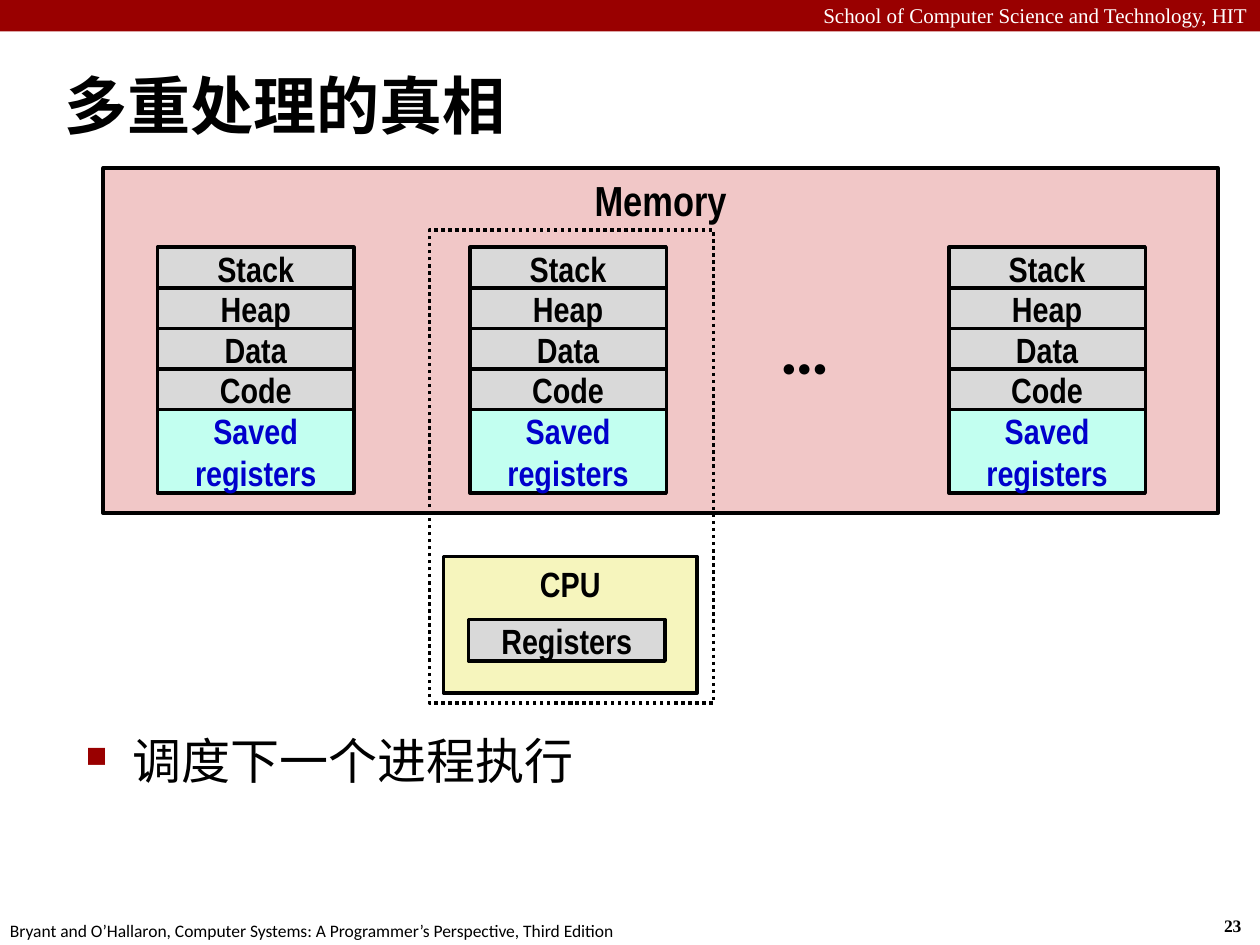
from pptx import Presentation
from pptx.dml.color import RGBColor
from pptx.enum.dml import MSO_LINE
from pptx.enum.shapes import MSO_SHAPE
from pptx.enum.text import MSO_ANCHOR as ANCHOR, PP_ALIGN as ALIGN
from pptx.oxml import parse_xml
from pptx.oxml.ns import nsdecls
from pptx.util import Pt

BLACK = RGBColor(0x00, 0x00, 0x00)
WHITE = RGBColor(0xFF, 0xFF, 0xFF)
RED = RGBColor(0x99, 0x00, 0x00)
PINK = RGBColor(0xF1, 0xC7, 0xC7)
GRAY = RGBColor(0xD9, 0xD9, 0xD9)
YELLOW = RGBColor(0xF6, 0xF5, 0xBD)
MINT = RGBColor(0xC2, 0xFF, 0xF0)
BLUE = RGBColor(0x00, 0x00, 0xCC)

SERIF, SANS, NARROW = "Times New Roman", "Calibri", "Arial Narrow"

PROCESS_LEFTS = (90, 268.5, 542.2)
SEGMENTS = ("Stack", "Heap", "Data", "Code")
SEGMENT_W, SEGMENT_H = 112.3, 23.8
SEGMENTS_TOP, SEGMENT_PITCH = 141.3, 23.2


class SlideBuilder:
    line_width = Pt(2)

    def __init__(self, slide):
        self.s = slide

    def set_text(self, sp, text, size, font, color, bold, align, anchor):
        tf = sp.text_frame
        tf.text = text
        tf.vertical_anchor = anchor
        p = tf.paragraphs[0]
        p.alignment = align
        f = p.runs[0].font
        f.size, f.name, f.bold = Pt(size), font, bold
        f.color.rgb = color
        return p

    def box(self, x, y, w, h, fill=None, text="", size=20, color=BLACK,
            anchor=ANCHOR.MIDDLE, line=BLACK):
        sp = self.s.shapes.add_shape(MSO_SHAPE.RECTANGLE, Pt(x), Pt(y), Pt(w), Pt(h))
        sp.shadow.inherit = False
        if fill is None:
            sp.fill.background()
        else:
            sp.fill.solid()
            sp.fill.fore_color.rgb = fill
        if line is None:
            sp.line.fill.background()
        else:
            sp.line.color.rgb = line
            sp.line.width = self.line_width
        if text:
            sp.text_frame.word_wrap = True
            self.set_text(sp, text, size, NARROW, color, True, ALIGN.CENTER, anchor)
        return sp

    def label(self, x, y, w, h, text, size, font, color=BLACK, bold=False,
              align=ALIGN.LEFT, anchor=ANCHOR.TOP, wrap=True):
        sp = self.s.shapes.add_textbox(Pt(x), Pt(y), Pt(w), Pt(h))
        sp.text_frame.word_wrap = wrap
        return self.set_text(sp, text, size, font, color, bold, align, anchor)

    def bullet(self, x, y, w, h, text, size, font, indent=27):
        p = self.label(x, y, w, h, text, size, font)
        pPr = p._p.get_or_add_pPr()
        pPr.set("marL", str(Pt(indent)))
        pPr.set("indent", str(-Pt(indent)))
        ns = nsdecls("a")
        for xml in (f'<a:buClr {ns}><a:srgbClr val="{RED}"/></a:buClr>',
                    f'<a:buSzPct {ns} val="60000"/>',
                    f'<a:buChar {ns} char="■"/>'):
            pPr.append(parse_xml(xml))

    def process(self, x):
        """Stack the memory segments of one process above its saved registers."""
        for i, name in enumerate(SEGMENTS):
            self.box(x, SEGMENTS_TOP + i * SEGMENT_PITCH, SEGMENT_W, SEGMENT_H, GRAY, name)
        self.box(x, SEGMENTS_TOP + len(SEGMENTS) * SEGMENT_PITCH, SEGMENT_W,
                 2 * SEGMENT_H, MINT, "Saved registers", color=BLUE)


def main():
    prs = Presentation()
    prs.slide_width, prs.slide_height = Pt(720), Pt(540)
    b = SlideBuilder(prs.slides.add_slide(prs.slide_layouts[6]))

    b.box(0, 0, 720, 18, RED, line=None)
    b.label(0, -2, 720, 21.6, "School of Computer Science and Technology, HIT",
            12, SERIF, WHITE, align=ALIGN.RIGHT)
    b.label(692.4, 519.4, 26.6, 19.4, "23", 10, SERIF, bold=True, wrap=False)
    b.label(-1.4, 522, 365.8, 19.4,
            "Bryant and O’Hallaron, Computer Systems: A Programmer’s Perspective, Third Edition",
            10, SANS, wrap=False)
    b.label(29.5, 29.5, 684.7, 59.8, "多重处理的真相", 36, SANS, bold=True,
            anchor=ANCHOR.MIDDLE)

    b.box(253.4, 318, 145, 78, YELLOW, "CPU", anchor=ANCHOR.TOP)
    b.box(267.8, 354, SEGMENT_W, SEGMENT_H, GRAY, "Registers")
    b.box(59, 96, 637, 197.3, PINK, "Memory", 24, anchor=ANCHOR.TOP)
    active = b.box(245.5, 131.3, 162.3, 270.5)
    active.line.dash_style = MSO_LINE.ROUND_DOT
    for x in PROCESS_LEFTS:
        b.process(x)
    b.label(438.5, 170.6, 43.2, 55.4, "…", 40, SANS, bold=True, wrap=False)

    b.bullet(41.8, 414, 671.8, 41.8, "调度下一个进程执行", 28, SERIF)
    prs.save("out.pptx")


if __name__ == "__main__":
    main()
